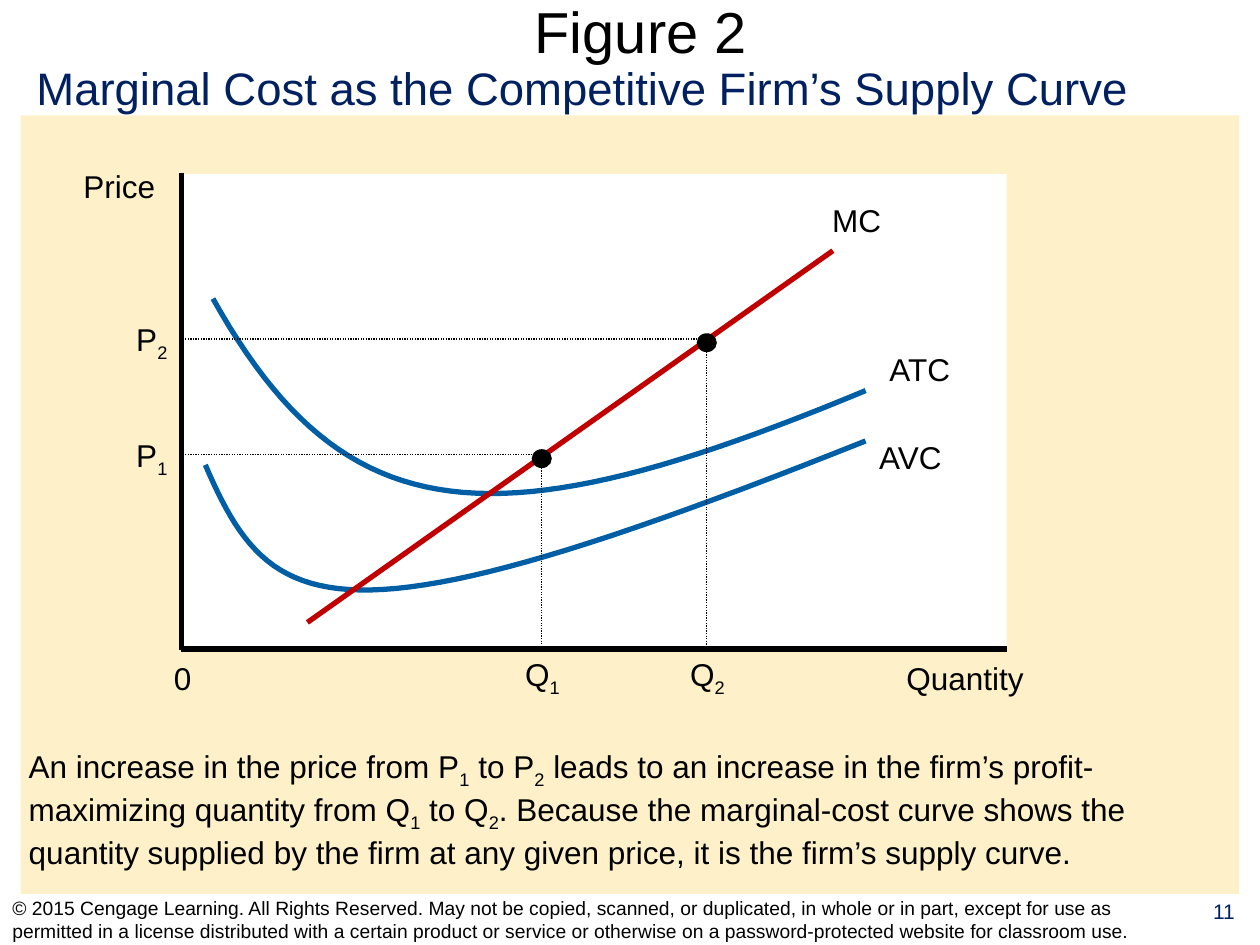
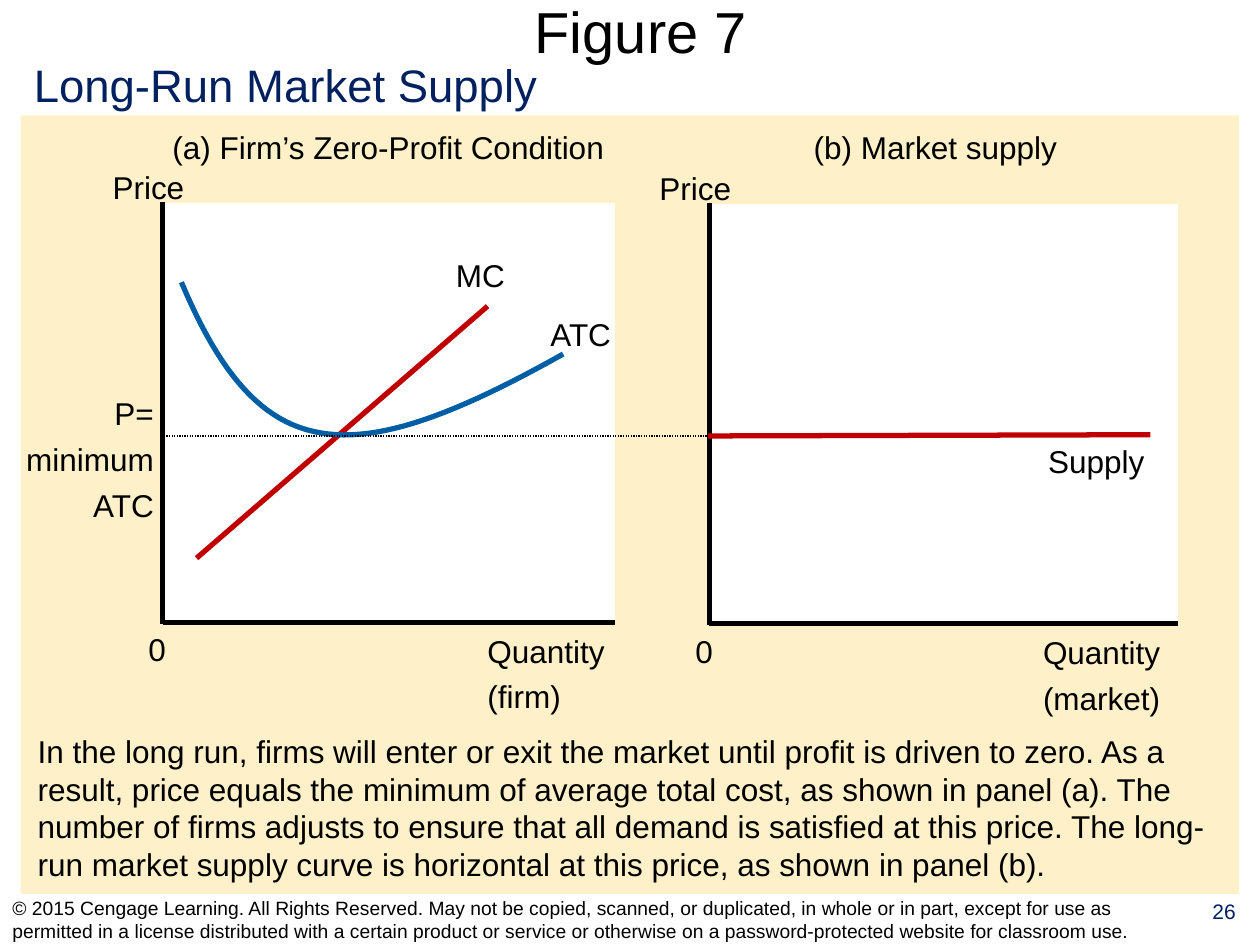
import pptx
import pptx.util
import pptx.dml.color
import pptx.enum.dml
import pptx.enum.shapes
import pptx.enum.text
import lxml.etree
import pptx.oxml.ns

Pt = pptx.util.Pt
ALIGN = pptx.enum.text.PP_ALIGN
ANCHOR = pptx.enum.text.MSO_ANCHOR
SHAPE = pptx.enum.shapes.MSO_SHAPE

COLS, ROWS = 100, 75
BLACK, WHITE, NAVY = "000000", "FFFFFF", "002060"
CREAM, BLUE, RED = "FEF0C8", "005EA4", "C00000"
COPYRIGHT = (
    "© 2015 Cengage Learning. All Rights Reserved. May not be copied, scanned, or "
    "duplicated, in whole or in part, except for use as permitted in a license "
    "distributed with a certain product or service or otherwise on a "
    "password-protected website for classroom use."
)


def rgb(value):
    return pptx.dml.color.RGBColor.from_string(value)


class Deck:
    """Shared style and the current slide; lengths are grid columns and rows."""

    font = "Arial"
    label_size = 18
    curve_width = 3

    def __init__(self):
        self.prs = pptx.Presentation()
        self.prs.slide_width = pptx.util.Inches(10)
        self.prs.slide_height = pptx.util.Inches(7.5)
        self.s = None

    def x(self, cols):
        return round(self.prs.slide_width * cols / COLS)

    def y(self, rows):
        return round(self.prs.slide_height * rows / ROWS)

    def box(self, left, top, width, height):
        return self.x(left), self.y(top), self.x(width), self.y(height)

    # Slide frame: band, title, subtitle, copyright and number
    def slide(self, title, subtitle, subtitle_at, number):
        self.s = self.prs.slides.add_slide(self.prs.slide_layouts[5])
        self.shape(SHAPE.RECTANGLE, 1.65, 9.15, 96.7, 61.8, CREAM)
        sp = self.s.shapes.title
        sp.left, sp.top, sp.width, sp.height = self.box(3.5, 0, 94.7, 4.9)
        tf = sp.text_frame
        tf.margin_left = tf.margin_right = tf.margin_top = tf.margin_bottom = 0
        tf.vertical_anchor = ANCHOR.MIDDLE
        tf.text = title
        self.style(tf.paragraphs[0], 33, BLACK, ALIGN.CENTER)
        self.text(subtitle, *subtitle_at, 5.4, size=26, color=NAVY)
        self.text(COPYRIGHT, 0, 71, 94.2, 4, size=11, wrap=True, anchor=ANCHOR.MIDDLE)
        self.text(number, 94.3, 70.8, 5.7, 4.1, size=12, color=NAVY,
                  align=ALIGN.CENTER, wrap=True)

    def style(self, p, size, color, align):
        p.alignment = align
        p.font.name = self.font
        p.font.size = Pt(size)
        p.font.color.rgb = rgb(color)

    # Text; "_" lowers the character after it, a line break starts a paragraph
    def text(self, text, left, top, width, height=4, size=label_size, color=BLACK,
             align=ALIGN.LEFT, wrap=False, anchor=ANCHOR.TOP):
        tf = self.s.shapes.add_textbox(*self.box(left, top, width, height)).text_frame
        tf.word_wrap = wrap
        tf.vertical_anchor = anchor
        for i, line in enumerate(text.split("\n")):
            p = tf.add_paragraph() if i else tf.paragraphs[0]
            if i:
                p.space_before = Pt(4.5)
            first, *rest = line.split("_")
            if not rest:  # lines with subscripts keep their natural height
                p.line_spacing = Pt(size * 1.2)
            self.style(p, size, color, align)
            p.add_run().text = first
            for part in rest:
                r = p.add_run()
                r.text = part[0]
                r.font._element.set("baseline", "-25000")
                if part[1:]:
                    p.add_run().text = part[1:]

    def centred(self, text, middle, top, width, height=4):
        self.text(text, middle - width / 2, top, width, height, align=ALIGN.CENTER)

    # Filled shapes
    def shape(self, kind, left, top, width, height, color):
        sp = self.s.shapes.add_shape(kind, *self.box(left, top, width, height))
        sp.shadow.inherit = False
        sp.fill.solid()
        sp.fill.fore_color.rgb = rgb(color)
        sp.line.fill.background()

    def dot(self, col, row):
        self.shape(SHAPE.OVAL, col - 0.8, row - 0.75, 1.6, 1.5, BLACK)

    # Lines and curves
    def line(self, x1, y1, x2, y2, color=BLACK, width=curve_width):
        c = self.s.shapes.add_connector(
            pptx.enum.shapes.MSO_CONNECTOR.STRAIGHT,
            self.x(x1), self.y(y1), self.x(x2), self.y(y2))
        c.line.color.rgb = rgb(color)
        c.line.width = Pt(width)
        lxml.etree.SubElement(c._element.spPr, pptx.oxml.ns.qn("a:effectLst"))
        return c

    def guide(self, x1, y1, x2, y2):
        c = self.line(x1, y1, x2, y2, width=0.75)
        c.line.dash_style = pptx.enum.dml.MSO_LINE.ROUND_DOT

    def curve(self, *controls, steps=48):
        """Cubic Bezier curve through four control points."""
        points = []
        for i in range(steps + 1):
            t = i / steps
            weights = ((1 - t) ** 3, 3 * t * (1 - t) ** 2, 3 * t * t * (1 - t), t ** 3)
            col, row = (sum(w * c[k] for w, c in zip(weights, controls)) for k in (0, 1))
            points.append((self.x(col), self.y(row)))
        builder = self.s.shapes.build_freeform(*points[0])
        builder.add_line_segments(points[1:], close=False)
        sp = builder.convert_to_shape()
        sp.shadow.inherit = False
        sp.fill.background()
        sp.line.color.rgb = rgb(BLUE)
        sp.line.width = Pt(self.curve_width)

    def axes(self, left, top, right, bottom):
        """White plot area with its two axes."""
        self.shape(SHAPE.RECTANGLE, left, top + 0.1, right - left, bottom - top - 0.1, WHITE)
        self.line(left, top, left, bottom + 0.1)
        self.line(left, bottom, right, bottom)


def marginal_cost(d):
    d.slide("Figure 2", "Marginal Cost as the Competitive Firm’s Supply Curve",
            (1.9, 4.3, 88.8), "11")
    d.axes(14.4, 13.7, 79.9, 51.5)
    d.text("Price", 4.9, 12.8, 8.4, align=ALIGN.RIGHT)
    d.centred("Quantity", 76.6, 51.8, 13)
    d.centred("0", 14.5, 51.8, 4)

    # Cost curves
    d.curve((16.9, 23.7), (27.4, 42.5), (39.4, 43.2), (68.7, 31))
    d.centred("ATC", 73, 27.3, 8)
    d.curve((16.3, 36.9), (21.5, 49), (26.4, 51.9), (68.7, 35))
    d.centred("AVC", 72.25, 34.3, 8)
    d.line(24.4, 49.4, 66.1, 19.9, RED)
    d.centred("MC", 68, 15.5, 7)

    # Price and quantity pairs on the marginal-cost line
    for n, col, row in ((1, 43.0, 36.1), (2, 56.1, 26.9)):
        d.guide(14.7, row, col, row)
        d.guide(col, row, col, 51.6)
        d.centred(f"P_{n}", 12.05, row - 2, 6, 4.4)
        d.centred(f"Q_{n}", col + 0.05, 51.5, 6, 4.4)
        d.dot(col, row + 0.3)

    d.text("An increase in the price from P_1 to P_2 leads to an increase in the firm’s "
           "profit-maximizing quantity from Q_1 to Q_2. Because the marginal-cost curve "
           "shows the quantity supplied by the firm at any given price, it is the firm’s "
           "supply curve.", 1.3, 58.8, 97.3, 10.8, wrap=True)


def market_supply(d):
    d.slide("Figure 7", "Long-Run Market Supply", (1.7, 4, 42), "26")

    # Two panels: caption, axes and axis labels
    panels = (
        ("(a) Firm’s Zero-Profit Condition", 12.7, 39.3, 12.9, 48.8, 16, "firm", 37.7),
        ("(b) Market supply", 63.6, 23.6, 56.3, 93.5, 16.1, "market", 81.8),
    )
    for caption, at, width, left, right, top, who, label_at in panels:
        bottom = top + 33.4
        d.axes(left, top, right, bottom)
        d.text(caption, at, 9.7, width, wrap=True)
        d.text("Price", left - 4.95, top - 3.15, 8.5)
        d.text("0", left - 2.1, bottom + 0.15, 4)
        d.text(f"Quantity\n({who})", label_at, bottom + 0.25, 13, 7.7)

    # Firm's curves
    d.line(15.6, 44.3, 38.7, 24.3, RED)
    d.text("MC", 35.2, 19.8, 7)
    d.curve((14.4, 22.4), (20.6, 37.1), (27.6, 37.7), (44.7, 28.1))
    d.text("ATC", 42.7, 24.5, 8)

    # Price level shared by both panels
    d.guide(13, 34.6, 56.5, 34.6)
    d.text("P=\nminimum\nATC", 0.2, 30.8, 13, 11.3, align=ALIGN.RIGHT)
    d.line(56.2, 34.6, 91.3, 34.5, RED)
    d.text("Supply", 82.2, 34.6, 11)

    d.text("In the long run, firms will enter or exit the market until profit is driven to "
           "zero. As a result, price equals the minimum of average total cost, as shown in "
           "panel (a). The number of firms adjusts to ensure that all demand is satisfied "
           "at this price. The long-run market supply curve is horizontal at this price, "
           "as shown in panel (b).", 2, 57.6, 96, 13, wrap=True)


def main():
    d = Deck()
    marginal_cost(d)
    market_supply(d)
    d.prs.save("out.pptx")


if __name__ == "__main__":
    main()
